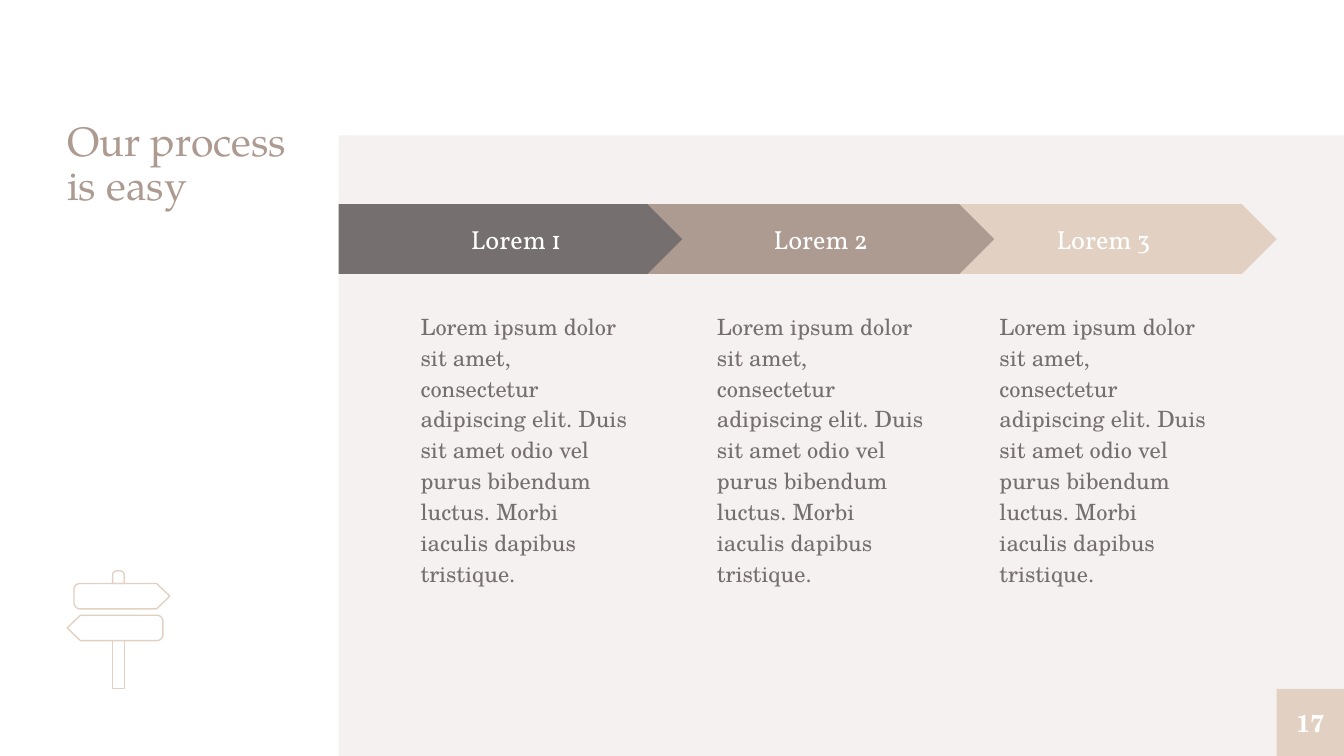
from dataclasses import dataclass
from math import cos, pi, sin

from pptx import Presentation
from pptx.dml.color import RGBColor as Rgb
from pptx.enum.shapes import MSO_SHAPE as Form
from pptx.enum.text import MSO_ANCHOR as Anchor, MSO_AUTO_SIZE as Fit, PP_ALIGN as Align
from pptx.util import Cm, Pt


@dataclass(frozen=True)
class Theme:
    white: str = "FFFFFF"
    pale: str = "F5F1F0"
    sand: str = "E2D1C2"
    taupe: str = "AD9B91"
    gray: str = "756F6F"
    head: str = "TeX Gyre Pagella"
    body: str = "TeX Gyre Schola"
    label: str = "Vollkorn"
    big: float = 22
    mid: float = 14
    page: float = 13
    small: float = 12
    line: float = 0.75


def write(frame, text, *, font, size, color, bold=False, align=Align.LEFT,
          anchor=Anchor.TOP, inset=0.25, space=1.0):
    frame.word_wrap = True
    frame.auto_size = Fit.NONE
    frame.vertical_anchor = anchor
    frame.margin_left = frame.margin_right = Cm(inset)
    frame.margin_top = frame.margin_bottom = Cm(inset)
    para = frame.paragraphs[0]
    para.alignment = align
    para.line_spacing = space
    run = para.add_run()
    run.text = text
    run.font.name = font
    run.font.size = Pt(size)
    run.font.bold = bold
    run.font.color.rgb = Rgb.from_string(color)


def arc(x, y, r, start):
    """Points of a clockwise quarter turn around (x, y), from an angle in quarter turns."""
    turns = [(start + step / 4) * pi / 2 for step in range(5)]
    return [(x + r * cos(a), y + r * sin(a)) for a in turns]


class Deck:
    def __init__(self, theme, wide, high):
        self.theme = theme
        self.file = Presentation()
        self.file.slide_width, self.file.slide_height = Cm(wide), Cm(high)
        self.slide = self.file.slides.add_slide(self.file.slide_layouts[5])

    def group(self):
        return self.slide.shapes.add_group_shape().shapes

    def title(self, text, box):
        t = self.theme
        item = self.slide.shapes.title
        item.left, item.top, item.width, item.height = map(Cm, box)
        write(item.text_frame, text, font=t.head, size=t.big, color=t.taupe,
              inset=0, space=0.9)

    def block(self, box, fill, form=Form.RECTANGLE, home=None):
        item = (home or self.slide.shapes).add_shape(form, *map(Cm, box))
        item.shadow.inherit = False
        item.fill.solid()
        item.fill.fore_color.rgb = Rgb.from_string(fill)
        item.line.fill.background()
        return item

    def badge(self, text, box):
        t = self.theme
        item = self.block(box, t.sand)
        write(item.text_frame, text, font=t.body, size=t.page, color=t.white, bold=True,
              align=Align.CENTER, anchor=Anchor.MIDDLE, inset=0)

    def step(self, label, text, form, fill, bar, note):
        t, home = self.theme, self.group()
        item = self.block(bar, fill, form, home)
        write(item.text_frame, label, font=t.label, size=t.mid, color=t.white,
              align=Align.CENTER, anchor=Anchor.MIDDLE)
        area = home.add_textbox(*map(Cm, note))
        write(area.text_frame, text, font=t.body, size=t.small, color=t.gray, space=1.15)

    def outline(self, home, left, top, points):
        dots = [(Cm(left + x), Cm(top + y)) for x, y in points]
        pen = home.build_freeform(*dots[0])
        pen.add_line_segments(dots[1:], close=True)
        item = pen.convert_to_shape()
        item.shadow.inherit = False
        item.fill.background()
        item.line.color.rgb = Rgb.from_string(self.theme.sand)
        item.line.width = Pt(self.theme.line)

    def signpost(self):
        home = self.group()
        wide, high, tip, r = 1.81, 0.48, 0.25, 0.11
        board = [*arc(r, high - r, r, 1), *arc(r, r, r, 2),
                 (wide - tip, 0), (wide, high / 2), (wide - tip, high)]
        self.outline(home, 1.4, 11.03, board)
        self.outline(home, 1.27, 11.63, [(wide - x, y) for x, y in board])
        pole, cap, bend = 0.22, 0.24, 0.08
        self.outline(home, 2.13, 10.79, [
            (0, cap), *arc(bend, bend, bend, 2), *arc(pole - bend, bend, bend, 3), (pole, cap)])
        self.outline(home, 2.13, 12.11, [(0, 0), (0, 0.9), (pole, 0.9), (pole, 0)])


def main():
    t = Theme()
    wide, high, edge = 25.4, 14.29, 6.4
    deck = Deck(t, wide, high)
    deck.block((edge, 2.56, wide - edge, high - 2.56), t.pale)
    deck.signpost()
    deck.title("Our process is easy", (1.27, 2.29, 4.52, 10.74))
    side = 1.27
    deck.badge("17", (wide - side, high - side, side, side))

    text = ("Lorem ipsum dolor sit amet, consectetur adipiscing elit. Duis sit amet "
            "odio vel purus bibendum luctus. Morbi iaculis dapibus tristique.")
    # Bars overlap, so the middle one goes on last.
    steps = [
        ("Lorem 3", Form.CHEVRON, t.sand, 17.58, 6.55, 18.64),
        ("Lorem 1", Form.PENTAGON, t.gray, edge, 7.04, 7.7),
        ("Lorem 2", Form.CHEVRON, t.taupe, 12.24, 6.55, 13.3),
    ]
    for label, form, fill, left, span, note in steps:
        deck.step(label, text, form, fill, (left, 3.86, span, 1.32), (note, 5.59, 4.45, 5.18))
    deck.file.save("out.pptx")


if __name__ == "__main__":
    main()
